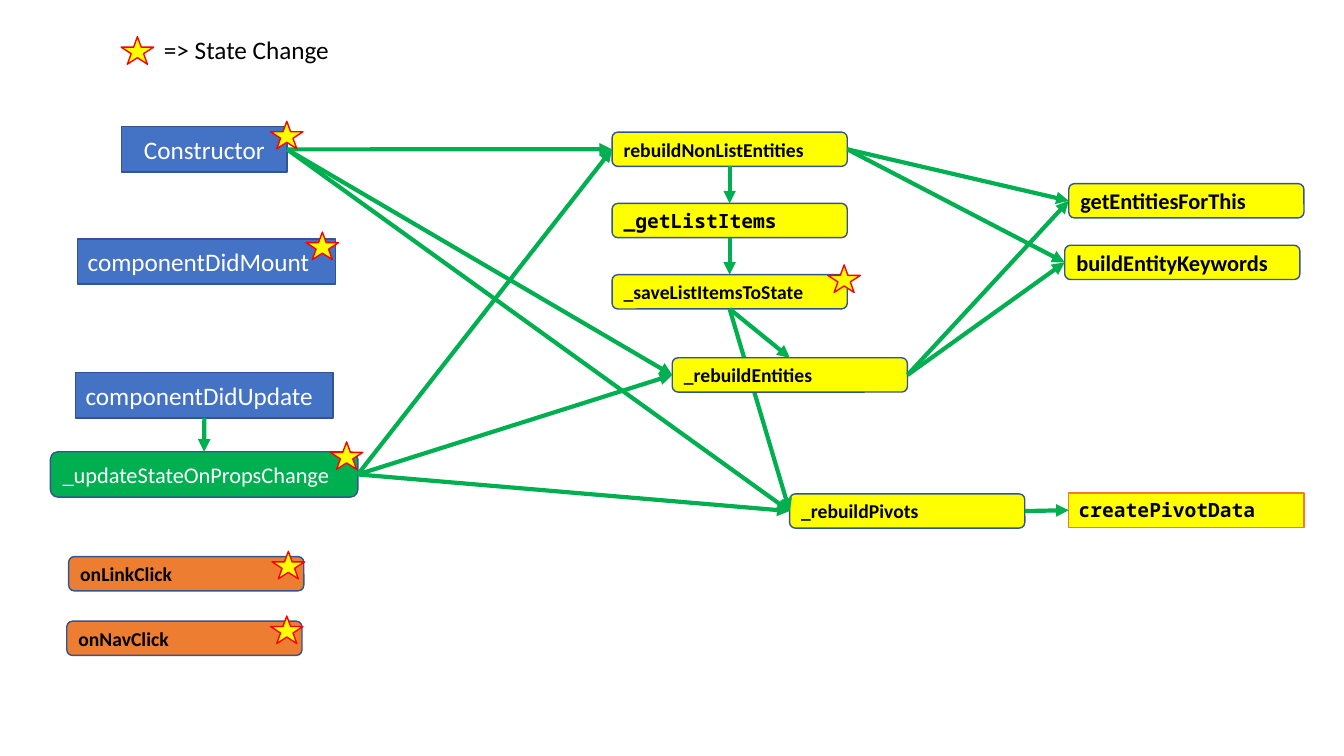
from pptx import Presentation
from pptx.dml.color import RGBColor
from pptx.enum import shapes, text
from pptx.oxml import ns
from pptx.util import Pt
from lxml import etree

BLUE = RGBColor(0x44, 0x72, 0xC4)
NAVY = RGBColor(0x32, 0x54, 0x91)
YELLOW = RGBColor(0xFF, 0xFF, 0x00)
GREEN = RGBColor(0x00, 0xB0, 0x50)
ORANGE = RGBColor(0xED, 0x7D, 0x31)
RED = RGBColor(0xFF, 0x00, 0x00)
WHITE = RGBColor(0xFF, 0xFF, 0xFF)
BLACK = RGBColor(0x00, 0x00, 0x00)

RECT = shapes.MSO_SHAPE.RECTANGLE
ROUND = shapes.MSO_SHAPE.ROUNDED_RECTANGLE
STAR = shapes.MSO_SHAPE.STAR_5_POINT
LEFT, CENTER = text.PP_ALIGN.LEFT, text.PP_ALIGN.CENTER
TOP, LEFT_SIDE, BOTTOM, RIGHT_SIDE = range(4)  # connection sites
MONO = "Noto Sans Mono"


class Diagram:
    """Holds the current slide and the shared style."""

    def __init__(self, s, font="Calibri"):
        self.s, self.font = s, font
        self.boxes = {}

    def shape(self, kind, x, y, w, h, fill, line):
        sp = self.s.shapes.add_shape(kind, Pt(x), Pt(y), Pt(w), Pt(h))
        sp.shadow.inherit = False
        sp.fill.solid()
        sp.fill.fore_color.rgb = fill
        sp.line.color.rgb = line
        sp.line.width = Pt(1)
        return sp

    def set_text(self, sp, label, size, color, bold=False, font=None, align=LEFT):
        tf = sp.text_frame
        tf.text = label
        p = tf.paragraphs[0]
        p.alignment = align
        f = p.runs[0].font
        f.name, f.size, f.bold = font or self.font, Pt(size), bold
        f.color.rgb = color

    def box(self, label, x, y, w, h, fill, size, color=BLACK, kind=ROUND,
            line=NAVY, anchor=text.MSO_ANCHOR.MIDDLE, **style):
        sp = self.shape(kind, x, y, w, h, fill, line)
        sp.text_frame.word_wrap = True
        sp.text_frame.vertical_anchor = anchor
        self.set_text(sp, label, size, color, **style)
        self.boxes[label] = sp

    def method(self, label, x, y, size=14, fill=YELLOW, **style):
        self.box(label, x, y, 168, 24.5, fill, size, bold=True, **style)

    def arrow(self, start, end, start_site=RIGHT_SIDE, end_site=LEFT_SIDE):
        c = self.s.shapes.add_connector(shapes.MSO_CONNECTOR.STRAIGHT, 0, 0, 0, 0)
        c.begin_connect(self.boxes[start], start_site)
        c.end_connect(self.boxes[end], end_site)
        c.line.color.rgb = GREEN
        c.line.width = Pt(3)
        props = c.element.spPr
        etree.SubElement(props.find(ns.qn("a:ln")), ns.qn("a:tailEnd"), type="triangle")
        etree.SubElement(props, ns.qn("a:effectLst"))

    def star(self, x, y):
        self.shape(STAR, x, y, 23.2, 19.7, YELLOW, RED)

    def label(self, label, x, y, w, h, size):
        sp = self.s.shapes.add_textbox(Pt(x), Pt(y), Pt(w), Pt(h))
        sp.text_frame.word_wrap = False
        self.set_text(sp, label, size, BLACK)


prs = Presentation()
prs.slide_width, prs.slide_height = Pt(960), Pt(540)
d = Diagram(prs.slides.add_slide(prs.slide_layouts[6]))

# Lifecycle methods
for name, x, y, w, align in [("Constructor", 86.8, 90.5, 118.3, CENTER),
                             ("componentDidMount", 55.5, 170.6, 184, LEFT),
                             ("componentDidUpdate", 54, 266.2, 184, LEFT)]:
    d.box(name, x, y, w, 32.4, BLUE, 18, WHITE, kind=RECT, align=align)
d.box("_updateStateOnPropsChange", 36, 322.7, 219.6, 32.4, GREEN, 16, WHITE)

# Event handlers
d.method("onLinkClick", 49, 397.6, fill=ORANGE)
d.method("onNavClick", 47.7, 443.7, fill=ORANGE)

# State building methods
d.method("rebuildNonListEntities", 437.2, 94.4)
d.method("_getListItems", 437.2, 145.3, font=MONO)
d.method("_saveListItemsToState", 437.2, 196.2)
d.method("_rebuildPivots", 564, 352.8)

# Helpers
d.method("getEntitiesForThis", 763.4, 131.2, 16)
d.method("buildEntityKeywords", 760.5, 175.2, 16)
d.method("createPivotData", 763.4, 352.2, kind=RECT, line=ORANGE,
         anchor=text.MSO_ANCHOR.TOP, font=MONO)

# This arrow passes behind _rebuildEntities
d.arrow("_saveListItemsToState", "_rebuildPivots", BOTTOM)
d.method("_rebuildEntities", 480.2, 255.6)

# Calls from left to right
for caller, callees in {
    "Constructor": ["rebuildNonListEntities", "_rebuildEntities", "_rebuildPivots"],
    "_updateStateOnPropsChange": ["rebuildNonListEntities", "_rebuildEntities",
                                  "_rebuildPivots"],
    "rebuildNonListEntities": ["getEntitiesForThis", "buildEntityKeywords"],
    "_rebuildEntities": ["getEntitiesForThis", "buildEntityKeywords"],
    "_rebuildPivots": ["createPivotData"],
}.items():
    for callee in callees:
        d.arrow(caller, callee)

# Calls from top to bottom
for caller, callee in [("componentDidUpdate", "_updateStateOnPropsChange"),
                       ("rebuildNonListEntities", "_getListItems"),
                       ("_getListItems", "_saveListItemsToState"),
                       ("_saveListItemsToState", "_rebuildEntities")]:
    d.arrow(caller, callee, BOTTOM, TOP)

# State change marks, the first one for the legend
for x, y in [(86.6, 26.2), (193.3, 86.6), (218.7, 165.8), (236, 315.6),
             (591.4, 189.2), (194.4, 393.8), (193.3, 440)]:
    d.star(x, y)
d.label("=> State Change", 110, 21, 134, 29, 18)

prs.save("out.pptx")
